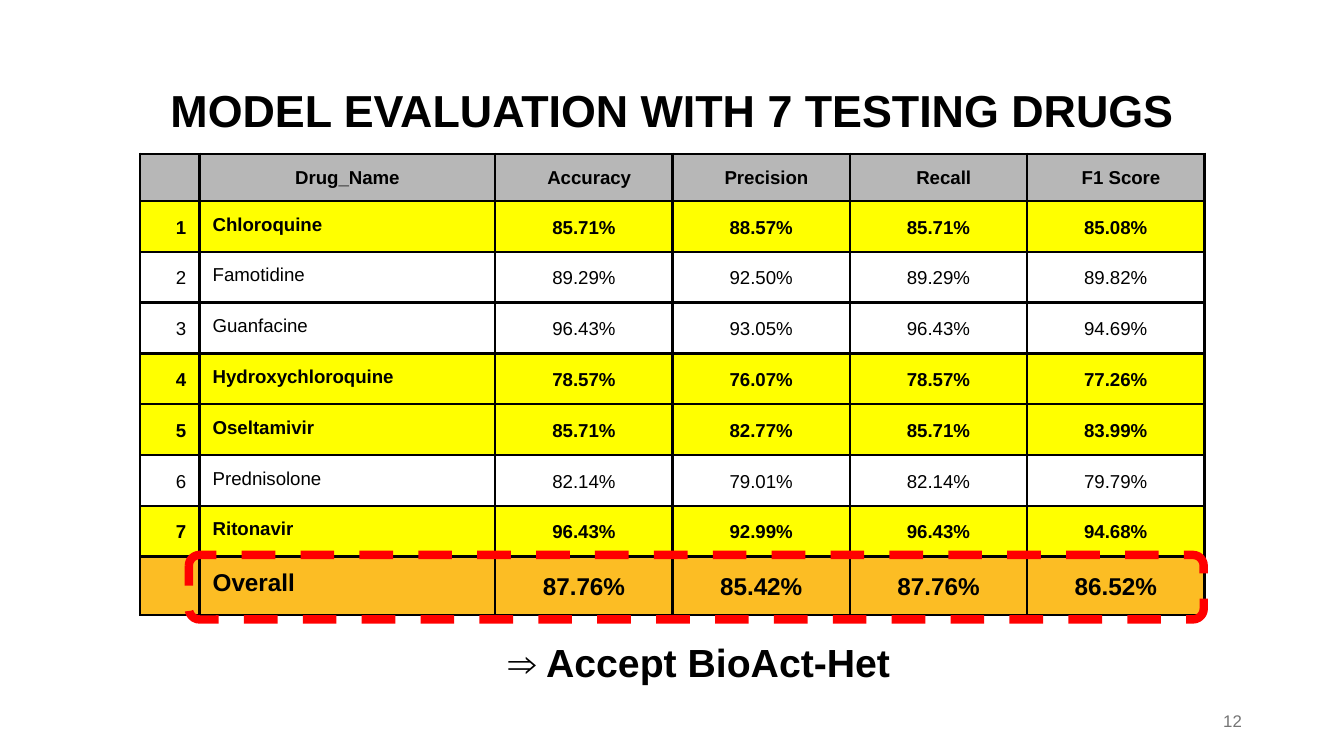
from lxml import etree
from pptx import Presentation
from pptx import util as u
from pptx.dml import color
from pptx.enum import dml, shapes, text
from pptx.oxml import ns

COLORS = {
    "black": "000000",
    "page": "757575",
    "header": "B7B7B7",
    "highlight": "FFFF00",
    "overall": "FCBD24",
    "frame": "FF0000",
}
FONT = "Arial"
ALIGN = text.PP_ALIGN
HEADERS = ["", "Drug_Name", "Accuracy", "Precision", "Recall", "F1 Score"]
RESULTS = [
    ["1", "Chloroquine", "85.71%", "88.57%", "85.71%", "85.08%"],
    ["2", "Famotidine", "89.29%", "92.50%", "89.29%", "89.82%"],
    ["3", "Guanfacine", "96.43%", "93.05%", "96.43%", "94.69%"],
    ["4", "Hydroxychloroquine", "78.57%", "76.07%", "78.57%", "77.26%"],
    ["5", "Oseltamivir", "85.71%", "82.77%", "85.71%", "83.99%"],
    ["6", "Prednisolone", "82.14%", "79.01%", "82.14%", "79.79%"],
    ["7", "Ritonavir", "96.43%", "92.99%", "96.43%", "94.68%"],
]
OVERALL = ["", "Overall", "87.76%", "85.42%", "87.76%", "86.52%"]
HIGHLIGHTED = {"1", "4", "5", "7"}
COLUMN_WIDTHS = [1.12, 5.59] + [3.35] * 4
ROW_HEIGHTS = [0.89] + [0.96] * len(RESULTS) + [1.1]


def rgb(name):
    return color.RGBColor.from_string(COLORS[name])


def set_margins(target, horizontal, top, bottom):
    target.margin_left = target.margin_right = u.Cm(horizontal)
    target.margin_top = u.Cm(top)
    target.margin_bottom = u.Cm(bottom)


def write(text_frame, content, size, align, bold=True, color_name="black"):
    text_frame.text = content
    paragraph = text_frame.paragraphs[0]
    paragraph.alignment = align
    for run in paragraph.runs:
        run.font.name = FONT
        run.font.size = u.Pt(size)
        run.font.bold = bold
        run.font.color.rgb = rgb(color_name)
    if not content:
        end = etree.SubElement(paragraph._p, ns.qn("a:endParaRPr"))
        end.set("sz", str(size * 100))
    return paragraph


def add_text(slide, box, content, size, align, margins, anchor, **style):
    shape = slide.shapes.add_textbox(*map(u.Cm, box))
    text_frame = shape.text_frame
    text_frame.word_wrap = True
    text_frame.vertical_anchor = anchor
    set_margins(text_frame, *margins)
    return write(text_frame, content, size, align, **style)


def add_borders(cell):
    properties = cell._tc.get_or_add_tcPr()
    for index, side in enumerate(("lnL", "lnR", "lnT", "lnB")):
        line = etree.Element(ns.qn(f"a:{side}"), w=str(u.Pt(1.5)))
        fill = etree.SubElement(line, ns.qn("a:solidFill"))
        etree.SubElement(fill, ns.qn("a:srgbClr"), val=COLORS["black"])
        properties.insert(index, line)


def fill_row(table, row, values, size, bold, fill_name):
    is_header = row == 0
    for column, value in enumerate(values):
        cell = table.cell(row, column)
        set_margins(cell, 0.25, 0.25, 0.2)
        if is_header:
            align = ALIGN.CENTER
            if column > 1:
                cell.margin_left = u.Cm(0.45)
        else:
            align = {0: ALIGN.RIGHT, 1: ALIGN.LEFT}.get(column, ALIGN.CENTER)
        paragraph = write(cell.text_frame, value, size, align, bold)
        if value and not is_header and column != 1:
            paragraph.line_spacing = 1.15
        if fill_name:
            cell.fill.solid()
            cell.fill.fore_color.rgb = rgb(fill_name)
        else:
            cell.fill.background()
        add_borders(cell)


def add_results_table(slide):
    frame = slide.shapes.add_table(
        len(ROW_HEIGHTS), len(COLUMN_WIDTHS), u.Cm(2.65), u.Cm(2.91),
        u.Cm(sum(COLUMN_WIDTHS)), u.Cm(sum(ROW_HEIGHTS)))
    table = frame.table
    table.first_row = table.horz_banding = False
    for column, width in zip(table.columns, COLUMN_WIDTHS):
        column.width = u.Cm(width)
    for row, height in zip(table.rows, ROW_HEIGHTS):
        row.height = u.Cm(height)
    fill_row(table, 0, HEADERS, 10, True, "header")
    for row, values in enumerate(RESULTS, 1):
        marked = values[0] in HIGHLIGHTED
        fill_row(table, row, values, 10, marked, "highlight" if marked else None)
    fill_row(table, len(RESULTS) + 1, OVERALL, 13, True, "overall")


def add_dashed_frame(slide, box):
    shape = slide.shapes.add_shape(
        shapes.MSO_SHAPE.ROUNDED_RECTANGLE, *map(u.Cm, box))
    shape.shadow.inherit = False
    shape.fill.background()
    shape.line.color.rgb = rgb("frame")
    shape.line.width = u.Pt(4.5)
    shape.line.dash_style = dml.MSO_LINE.DASH


def main():
    presentation = Presentation()
    presentation.slide_width = u.Cm(25.4)
    presentation.slide_height = u.Cm(14.29)
    slide = presentation.slides.add_slide(presentation.slide_layouts[6])
    middle, top = text.MSO_ANCHOR.MIDDLE, text.MSO_ANCHOR.TOP
    title = add_text(slide, (0, 0.76, 25.4, 2.77),
                     "MODEL EVALUATION WITH 7 TESTING DRUGS",
                     24, ALIGN.CENTER, (0.18, 0.1, 0.1), middle)
    title.line_spacing = 0.9
    add_results_table(slide)
    add_dashed_frame(slide, (3.57, 10.49, 19.18, 1.22))
    add_text(slide, (9.36, 11.81, 10.24, 1.42), "⇒ Accept BioAct-Het",
             21, ALIGN.LEFT, (0.25, 0.25, 0.25), top)
    add_text(slide, (17.93, 13.24, 5.72, 0.76), "12", 9, ALIGN.RIGHT,
             (0.18, 0.1, 0.1), middle, bold=False, color_name="page")
    presentation.save("out.pptx")


if __name__ == "__main__":
    main()
